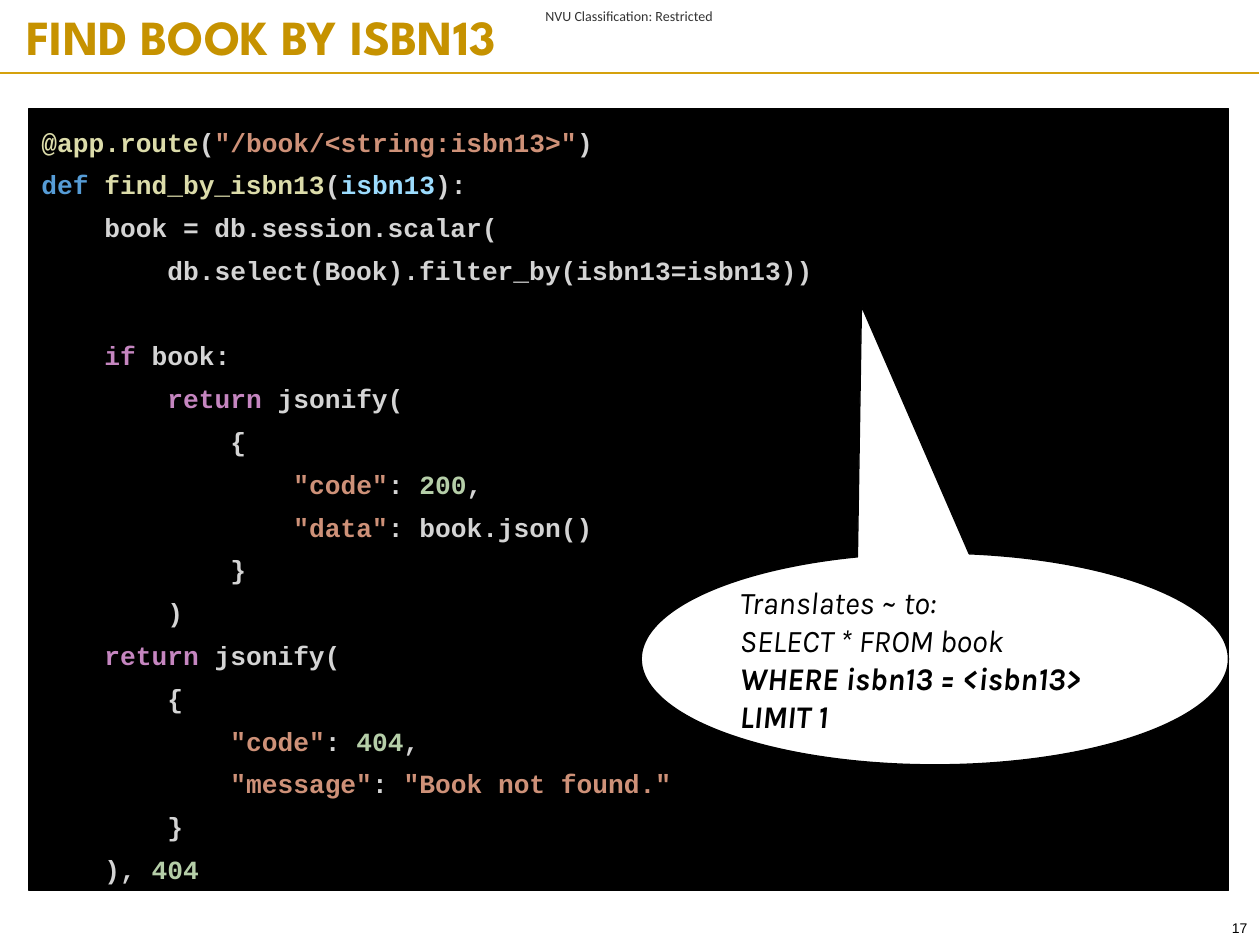
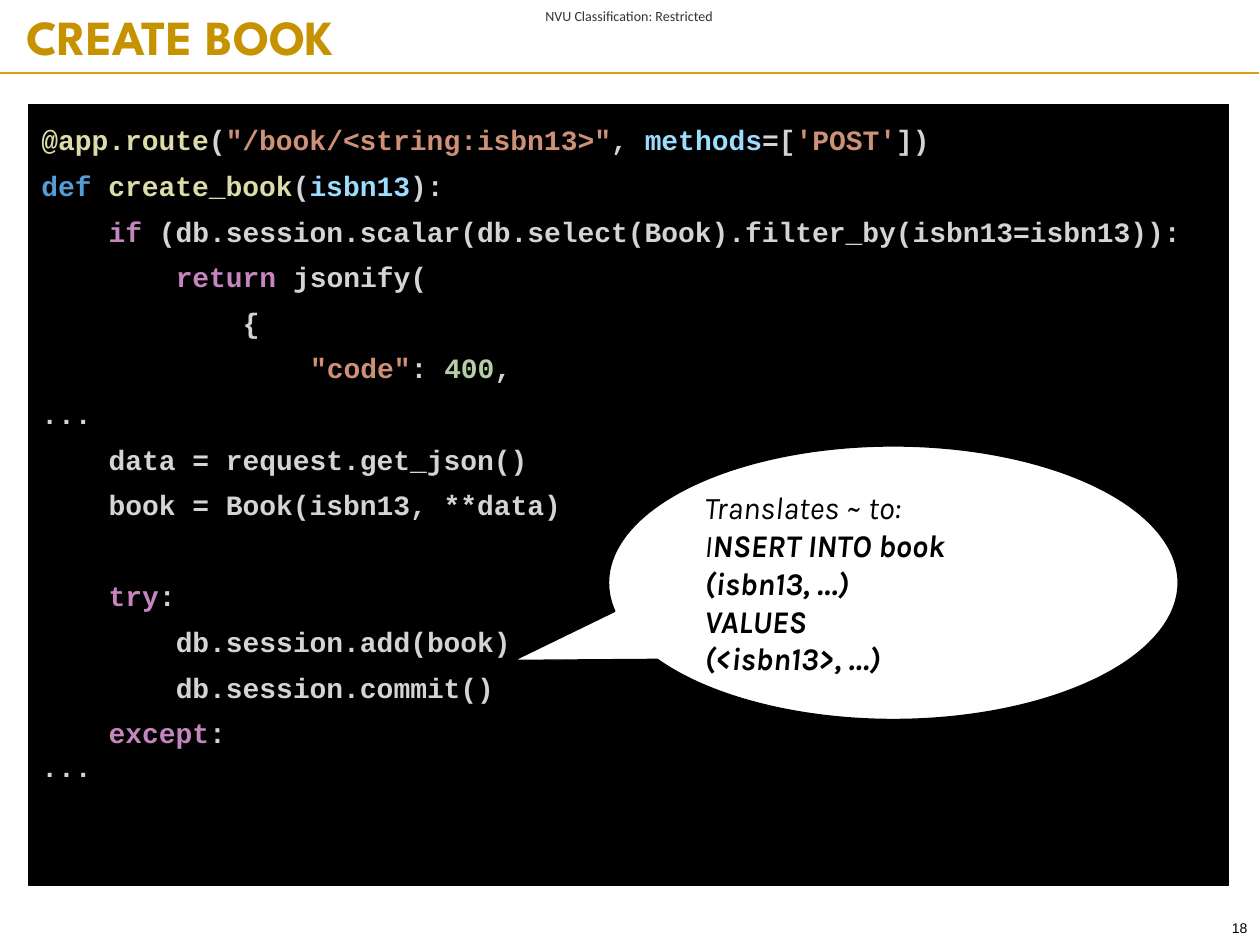
from dataclasses import dataclass

import pptx
import pptx.dml.color
import pptx.enum.shapes
import pptx.enum.text
import pptx.oxml
import pptx.oxml.ns
import pptx.util
from pptx.util import Inches, Pt

# Code lines: (indent level, (token kind, text), ...); an empty tuple leaves a line free.
# Callout lines: (text, bold) runs.
SLIDES = [
    {
        "title": "FIND BOOK BY ISBN13",
        "number": 17,
        "panel": (0.23, 0.86, 9.52, 6.21),
        "code_size": 15,
        "code": [
            (0, ("function", "@app.route"), ("plain", "("),
             ("string", '"/book/<string:isbn13>"'), ("plain", ")")),
            (0, ("define", "def "), ("function", "find_by_isbn13"), ("plain", "("),
             ("parameter", "isbn13"), ("plain", "):")),
            (1, ("plain", "book = db.session.scalar(")),
            (2, ("plain", "db.select(Book).filter_by(isbn13=isbn13))")),
            (),
            (1, ("control", "if"), ("plain", " book:")),
            (2, ("control", "return"), ("plain", " jsonify(")),
            (3, ("plain", "{")),
            (4, ("string", '"code"'), ("plain", ": "), ("number", "200"), ("plain", ",")),
            (4, ("string", '"data"'), ("plain", ": book.json()")),
            (3, ("plain", "}")),
            (2, ("plain", ")")),
            (1, ("control", "return"), ("plain", " jsonify(")),
            (2, ("plain", "{")),
            (3, ("string", '"code"'), ("plain", ": "), ("number", "404"), ("plain", ",")),
            (3, ("string", '"message"'), ("plain", ": "), ("string", '"Book not found."')),
            (2, ("plain", "}")),
            (1, ("plain", "), "), ("number", "404")),
        ],
        "callout": (5.09, 4.39, 4.66, 1.68),
        "pointer": (-0.125, -1.668),
        "query": [
            [("Translates ~ to:", False)],
            [("SELECT * FROM book", False)],
            [("WHERE isbn13 = <isbn13>", True)],
            [("LIMIT 1", True)],
        ],
    },
    {
        "title": "CREATE BOOK",
        "number": 18,
        "panel": (0.23, 0.83, 9.52, 6.2),
        "code_size": 16,
        "tight_last_line": True,
        "code": [
            (0, ("function", "@app.route"), ("plain", "("),
             ("string", '"/book/<string:isbn13>"'), ("plain", ", "),
             ("parameter", "methods"), ("plain", "=["), ("string", "'POST'"), ("plain", "])")),
            (0, ("define", "def "), ("function", "create_book"), ("plain", "("),
             ("parameter", "isbn13"), ("plain", "):")),
            (1, ("control", "if"),
             ("plain", " (db.session.scalar(db.select(Book).filter_by(isbn13=isbn13)):")),
            (2, ("control", "return"), ("plain", " jsonify(")),
            (3, ("plain", "{")),
            (4, ("string", '"code"'), ("plain", ": "), ("number", "400"), ("plain", ",")),
            (0, ("plain", "...")),
            (1, ("plain", "data = request.get_json()")),
            (1, ("plain", "book = Book(isbn13, **data)")),
            (),
            (1, ("control", "try"), ("plain", ":")),
            (2, ("plain", "db.session.add(book)")),
            (2, ("plain", "db.session.commit()")),
            (1, ("control", "except"), ("plain", ":")),
            (0, ("plain", "...")),
        ],
        "callout": (4.83, 3.54, 4.52, 2.17),
        "pointer": (-0.666, 0.284),
        "query": [
            [("Translates ~ to:", False)],
            [("I", False), ("NSERT INTO book", True)],
            [("(isbn13, …)", True)],
            [("VALUES", True)],
            [("(<isbn13>, …)", True)],
        ],
    },
]
CLASSIFICATION = "NVU Classification: Restricted"


@dataclass(frozen=True)
class Theme:
    title: str = "C69200"
    rule: str = "D5A10D"
    label: str = "333333"
    black: str = "000000"
    white: str = "FFFFFF"
    title_size: int = 28
    query_size: int = 18
    small_size: int = 8
    line_width: float = 0.75
    code_spacing: float = 1.36
    code_height: float = 1.19   # single line height, in ems
    code_advance: float = 0.6   # character width, in ems


THEME = Theme()
TOKENS = {
    "plain": "D4D4D4",
    "function": "DCDCAA",
    "string": "CE9178",
    "define": "569CD6",
    "parameter": "9CDCFE",
    "control": "C586C0",
    "number": "B5CEA8",
}
ALIGN = pptx.enum.text.PP_ALIGN
ANCHOR = pptx.enum.text.MSO_ANCHOR
SHAPE = pptx.enum.shapes.MSO_SHAPE


def rgb(color):
    return pptx.dml.color.RGBColor.from_string(color)


def inches(box):
    return [Inches(length) for length in box]


def add_run(paragraph, text, font, size, color, bold=False, italic=False):
    run = paragraph.add_run()
    run.text = text
    run.font.name, run.font.size = font, Pt(size)
    run.font.bold, run.font.italic = bold, italic
    run.font.color.rgb = rgb(color)


def set_frame(frame, side=0.1, edge=0.05, anchor=ANCHOR.TOP):
    frame.word_wrap = True
    frame.auto_size = pptx.enum.text.MSO_AUTO_SIZE.NONE
    frame.vertical_anchor = anchor
    frame.margin_left = frame.margin_right = Inches(side)
    frame.margin_top = frame.margin_bottom = Inches(edge)
    return frame


def paragraphs(frame, lines):
    """Yield each line with a left-aligned paragraph to hold it."""
    for index, line in enumerate(lines):
        paragraph = frame.add_paragraph() if index else frame.paragraphs[0]
        paragraph.alignment = ALIGN.LEFT
        yield paragraph, line


def add_label(slide, box, text, font, color, align, **frame_options):
    label = slide.shapes.add_textbox(*inches(box))
    paragraph = set_frame(label.text_frame, **frame_options).paragraphs[0]
    paragraph.alignment = align
    add_run(paragraph, text, font, THEME.small_size, color)


def add_filled(slide, kind, box, fill):
    shape = slide.shapes.add_shape(kind, *inches(box))
    shape.shadow.inherit = False
    shape.fill.solid()
    shape.fill.fore_color.rgb = rgb(fill)
    shape.line.color.rgb = rgb(THEME.black)
    shape.line.width = Pt(THEME.line_width)
    return shape


def add_header_and_footer(slide, title_text, number):
    add_label(slide, (4.18, 0, 1.63, 0.25), CLASSIFICATION, "Calibri", THEME.label,
              ALIGN.CENTER, side=0, edge=0, anchor=ANCHOR.MIDDLE)

    title = slide.shapes.title
    title.left, title.top, title.width, title.height = inches((0.11, 0, 9.89, 0.57))
    heading = set_frame(title.text_frame).paragraphs[0]
    heading.alignment = ALIGN.LEFT
    add_run(heading, title_text, "League Spartan", THEME.title_size, THEME.title, bold=True)

    rule = slide.shapes.add_connector(pptx.enum.shapes.MSO_CONNECTOR.STRAIGHT,
                                      *inches((-0.01, 0.58, 9.99, 0.58)))
    rule.line.color.rgb = rgb(THEME.rule)
    rule.line.width = Pt(THEME.line_width)
    rule.element.spPr.append(pptx.oxml.parse_xml(
        f'<a:effectLst {pptx.oxml.ns.nsdecls("a")}/>'))

    add_label(slide, (8.83, 7.25, 1.17, 0.33), str(number), "Arial", THEME.black, ALIGN.RIGHT)


def add_code(slide, box, code, size, tight_last_line=False):
    """Set code with a paragraph indent of four characters for each level."""
    panel = add_filled(slide, SHAPE.RECTANGLE, box, THEME.black)
    frame = set_frame(panel.text_frame)
    free_line = size * THEME.code_height * THEME.code_spacing
    indent = Pt(4 * size * THEME.code_advance)
    free_before = [index > 0 and not code[index - 1] for index in range(len(code))]
    lines = [(line, free) for line, free in zip(code, free_before) if line]
    for paragraph, ((level, *tokens), free) in paragraphs(frame, lines):
        properties = paragraph._p.get_or_add_pPr()
        properties.set("marL", str(level * indent))
        properties.set("indent", "0")
        paragraph.line_spacing = THEME.code_spacing
        paragraph.space_before = Pt(free_line * free)
        for kind, text in tokens:
            add_run(paragraph, text, "Courier New", size, TOKENS[kind], bold=True)
    if tight_last_line:
        frame.paragraphs[-1].line_spacing = 1.0


def add_query(slide, box, pointer, query):
    callout = add_filled(slide, SHAPE.OVAL_CALLOUT, box, THEME.white)
    for index, offset in enumerate(pointer):
        callout.adjustments[index] = offset
    frame = set_frame(callout.text_frame, edge=0.1, anchor=ANCHOR.MIDDLE)
    for paragraph, runs in paragraphs(frame, query):
        for text, bold in runs:
            add_run(paragraph, text, "Karla", THEME.query_size, THEME.black, bold, italic=True)


def main():
    deck = pptx.Presentation()
    deck.slide_width, deck.slide_height = Inches(10), Inches(7.5)
    title_only = deck.slide_layouts[5]
    for content in SLIDES:
        slide = deck.slides.add_slide(title_only)
        add_header_and_footer(slide, content["title"], content["number"])
        add_code(slide, content["panel"], content["code"], content["code_size"],
                 content.get("tight_last_line", False))
        add_query(slide, content["callout"], content["pointer"], content["query"])
    deck.save("out.pptx")


if __name__ == "__main__":
    main()
